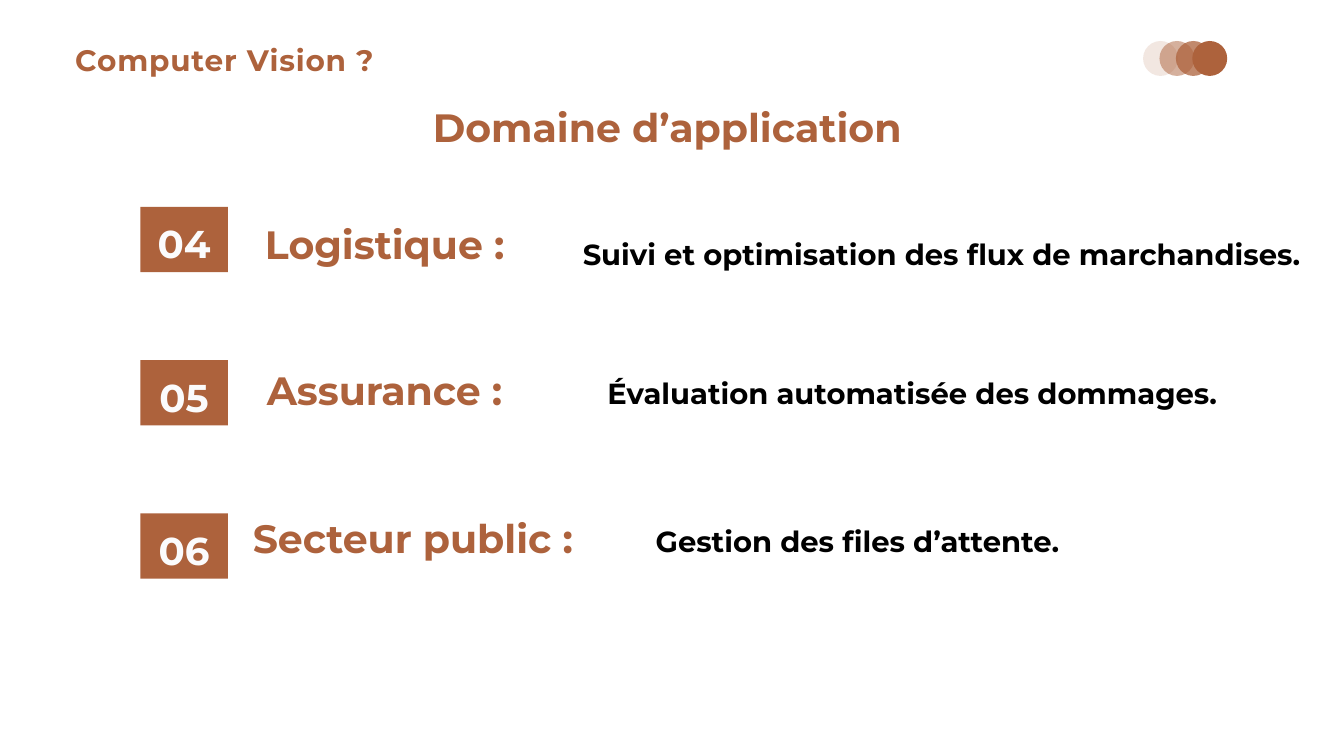
from lxml.etree import SubElement
from pptx import Presentation
from pptx.dml.color import RGBColor
from pptx.enum.shapes import MSO_SHAPE
from pptx.enum.text import PP_ALIGN
from pptx.oxml.ns import qn
from pptx.util import Inches, Pt

BROWN = "AD623C"

prs = Presentation()
prs.slide_width, prs.slide_height = Inches(20), Inches(11.25)
slide = prs.slides.add_slide(prs.slide_layouts[6])


def add_filled(kind, left, top, width, height, opacity=100):
    """Add a borderless brown shape; opacity is a percentage."""
    shape = slide.shapes.add_shape(
        kind, Inches(left), Inches(top), Inches(width), Inches(height))
    shape.shadow.inherit = False
    shape.fill.solid()
    shape.fill.fore_color.rgb = RGBColor.from_string(BROWN)
    shape.line.fill.background()
    if opacity < 100:
        color = shape._element.spPr.find(qn("a:solidFill"))[0]
        SubElement(color, qn("a:alpha"), val=str(opacity * 1000))


def add_text(text, left, top, width, height, size=42.3, color=BROWN,
             line=45.7, align=PP_ALIGN.CENTER, tracking=0):
    """Add a bold line of text; size, line and tracking are in points."""
    frame = slide.shapes.add_textbox(
        Inches(left), Inches(top), Inches(width), Inches(height)).text_frame
    frame.word_wrap = True
    frame.margin_left = frame.margin_right = 0
    frame.margin_top = frame.margin_bottom = 0
    paragraph = frame.paragraphs[0]
    paragraph.alignment = align
    paragraph.line_spacing = Pt(line)
    run = paragraph.add_run()
    run.text = text
    run.font.name = "Montserrat"
    run.font.size = Pt(size)
    run.font.bold = True
    run.font.color.rgb = RGBColor.from_string(color)
    if tracking:
        run.font._element.set("spc", str(round(tracking * 100)))


# Header
for i, opacity in enumerate((15, 50, 75, 100)):
    add_filled(MSO_SHAPE.OVAL, 17.01 + i * 0.244, 0.61, 0.52, 0.52, opacity)
add_text("Computer Vision ?", 1.12, 0.53, 4.54, 0.6, size=31.7, line=44.3,
         align=PP_ALIGN.LEFT, tracking=0.9)
add_text("Domaine d’application", 6.06, 1.61, 7.74, 0.65)

# Each domain: name, its top and width, then use, its left, top and width
domains = [
    ("Logistique :", 3.35, 4.03,
     "Suivi et optimisation des flux de marchandises.", 8.27, 3.43, 11.48),
    ("Assurance :", 5.52, 4.03,
     "Évaluation automatisée des dommages.", 8.27, 5.5, 10.61),
    ("Secteur public :", 7.72, 4.87,
     "Gestion des files d’attente.", 8.9, 7.7, 7.72),
]
for i, (name, name_top, name_width,
        use, use_left, use_top, use_width) in enumerate(domains):
    badge_top = 3.08 + i * 2.28
    add_filled(MSO_SHAPE.RECTANGLE, 2.09, badge_top, 1.3, 0.97)
    add_text(f"{i + 4:02}", 2.09, badge_top + 0.08, 1.3, 0.75,
             size=41.5, color="FBFBFC", line=58.2)
    add_text(name, 3.71, name_top, name_width, 0.65)
    add_text(use, use_left, use_top, use_width, 0.58,
             size=31.1, color="000000", line=43.5)

prs.save("out.pptx")
